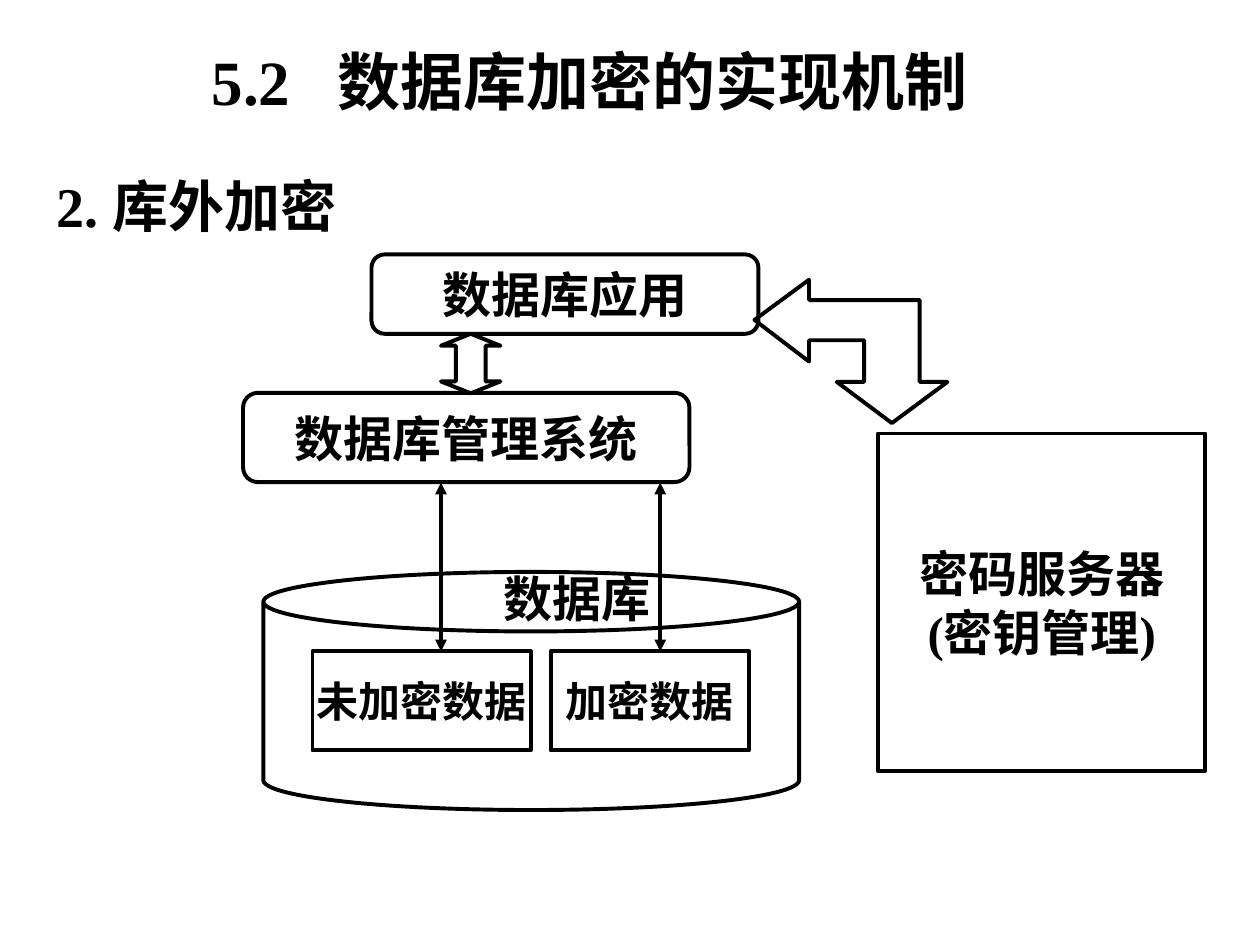
"""Build a slide showing how encryption outside the database works."""
import pptx
import pptx.dml.color
import pptx.enum.shapes
import pptx.enum.text
import pptx.oxml
import pptx.oxml.ns
import pptx.util

Cm = pptx.util.Cm
Pt = pptx.util.Pt
SHAPE = pptx.enum.shapes.MSO_SHAPE
ALIGN = pptx.enum.text.PP_ALIGN
MIDDLE = pptx.enum.text.MSO_ANCHOR.MIDDLE
TOP = pptx.enum.text.MSO_ANCHOR.TOP
COLORS = {"ink": "000000", "paper": "FFFFFF"}
LINE_WIDTH = 2.25
SERIF, SANS = "Times New Roman", "Arial"


def rgb(name):
    return pptx.dml.color.RGBColor.from_string(COLORS[name])


def drawing_element(tag, attributes=""):
    return pptx.oxml.parse_xml(f"<{tag} {pptx.oxml.ns.nsdecls('a')} {attributes}/>")


def add_run(paragraph, text, size, font, spacing=0):
    run = paragraph.add_run()
    run.text = text
    formats = {"size": Pt(size), "name": font, "bold": True}
    for attribute, value in formats.items():
        setattr(run.font, attribute, value)
    run.font.color.rgb = rgb("ink")
    if spacing:
        run.font._element.set("spc", str(spacing * 100))


def outline(shape):
    shape.shadow.inherit = False
    shape.fill.background()
    shape.line.color.rgb = rgb("ink")
    shape.line.width = Pt(LINE_WIDTH)


def add_shape(slide, kind, box):
    shape = slide.shapes.add_shape(kind, *map(Cm, box))
    outline(shape)
    return shape


def add_block_arrow(slide, box, shaft, head):
    shape = add_shape(slide, SHAPE.UP_DOWN_ARROW, box)
    guides = next(shape._element.iter(pptx.oxml.ns.qn("a:avLst")))
    for guide in list(guides):
        guides.remove(guide)
    for name, value in (("adj1", shaft), ("adj2", head)):
        guides.append(drawing_element("a:gd", f"name='{name}' fmla='val {value}'"))


def add_box(slide, kind, box, lines, size, font=SANS):
    shape = add_shape(slide, kind, box)
    frame = shape.text_frame
    frame.word_wrap = False
    frame.vertical_anchor = MIDDLE
    for index, line in enumerate(lines):
        paragraph = frame.add_paragraph() if index else frame.paragraphs[0]
        paragraph.alignment = ALIGN.CENTER
        add_run(paragraph, line, size, font)


def add_text(slide, box, runs, size, align=ALIGN.LEFT, anchor=TOP):
    frame = slide.shapes.add_textbox(*map(Cm, box)).text_frame
    frame.word_wrap = True
    frame.vertical_anchor = anchor
    paragraph = frame.paragraphs[0]
    paragraph.alignment = align
    for text, font, *spacing in runs:
        add_run(paragraph, text, size, font, *spacing)
    return paragraph


def add_double_arrow(slide, x, top, bottom):
    straight = pptx.enum.shapes.MSO_CONNECTOR.STRAIGHT
    connector = slide.shapes.add_connector(straight, Cm(x), Cm(top), Cm(x), Cm(bottom))
    connector.line.color.rgb = rgb("ink")
    connector.line.width = Pt(LINE_WIDTH)
    line = connector.line._get_or_add_ln()
    for tag in ("a:headEnd", "a:tailEnd"):
        line.append(drawing_element(tag, "type='triangle'"))
    connector._element.spPr.append(drawing_element("a:effectLst"))


def add_outline(slide, points):
    corners = [(Cm(x), Cm(y)) for x, y in points]
    builder = slide.shapes.build_freeform(*corners[0])
    builder.add_line_segments(corners[1:], close=True)
    outline(builder.convert_to_shape())


def main():
    presentation = pptx.Presentation()
    presentation.slide_width, presentation.slide_height = Cm(25.4), Cm(19.05)
    slide = presentation.slides.add_slide(presentation.slide_layouts[6])
    slide.background.fill.solid()
    slide.background.fill.fore_color.rgb = rgb("paper")

    title = [("5.2", SERIF), (" ", SERIF, 18), ("数据库", SERIF), ("加密的实现机制", "Calibri")]
    add_text(slide, (1.09, 0.71, 21.59, 1.8), title, 36, ALIGN.CENTER, MIDDLE)
    heading = add_text(slide, (0.89, 3.33, 23.8, 1.6),
                       [("2. ", SERIF), ("库外加密", SANS)], 32)
    properties = heading._element.get_or_add_pPr()
    properties.set("marL", str(Cm(0.95)))
    properties.set("indent", str(-Cm(0.95)))

    rounded, rectangle = SHAPE.ROUNDED_RECTANGLE, SHAPE.RECTANGLE
    add_box(slide, rounded, (7.49, 5.13, 7.8, 1.6), ["数据库应用"], 28)
    add_box(slide, rounded, (4.9, 7.92, 9, 1.8), ["数据库管理系统"], 28)
    add_shape(slide, SHAPE.CAN, (5.31, 11.53, 10.8, 4.8))
    add_box(slide, rectangle, (6.3, 13.13, 4.4, 2), ["未加密数据"], 24)
    add_box(slide, rectangle, (11.1, 13.13, 4, 2), ["加密数据"], 24)
    add_text(slide, (9.91, 11.33, 4.8, 1.45), [("数据库", SANS)], 28)
    for x in (8.89, 13.31):
        add_double_arrow(slide, x, 9.73, 13.13)
    add_block_arrow(slide, (8.89, 6.73, 1.2, 1.2), 50000, 20000)
    add_box(slide, rectangle, (17.7, 8.74, 6.6, 6.8),
            ["密码服务器", "(密钥管理)"], 28, SERIF)
    add_outline(slide, [
        (15.21, 6.45), (16.31, 7.29), (16.31, 6.86), (17.42, 6.86),
        (17.42, 7.7), (16.87, 7.7), (17.98, 8.53), (19.1, 7.7),
        (18.54, 7.7), (18.54, 6.05), (16.31, 6.05), (16.31, 5.64),
    ])
    presentation.save("out.pptx")


if __name__ == "__main__":
    main()
